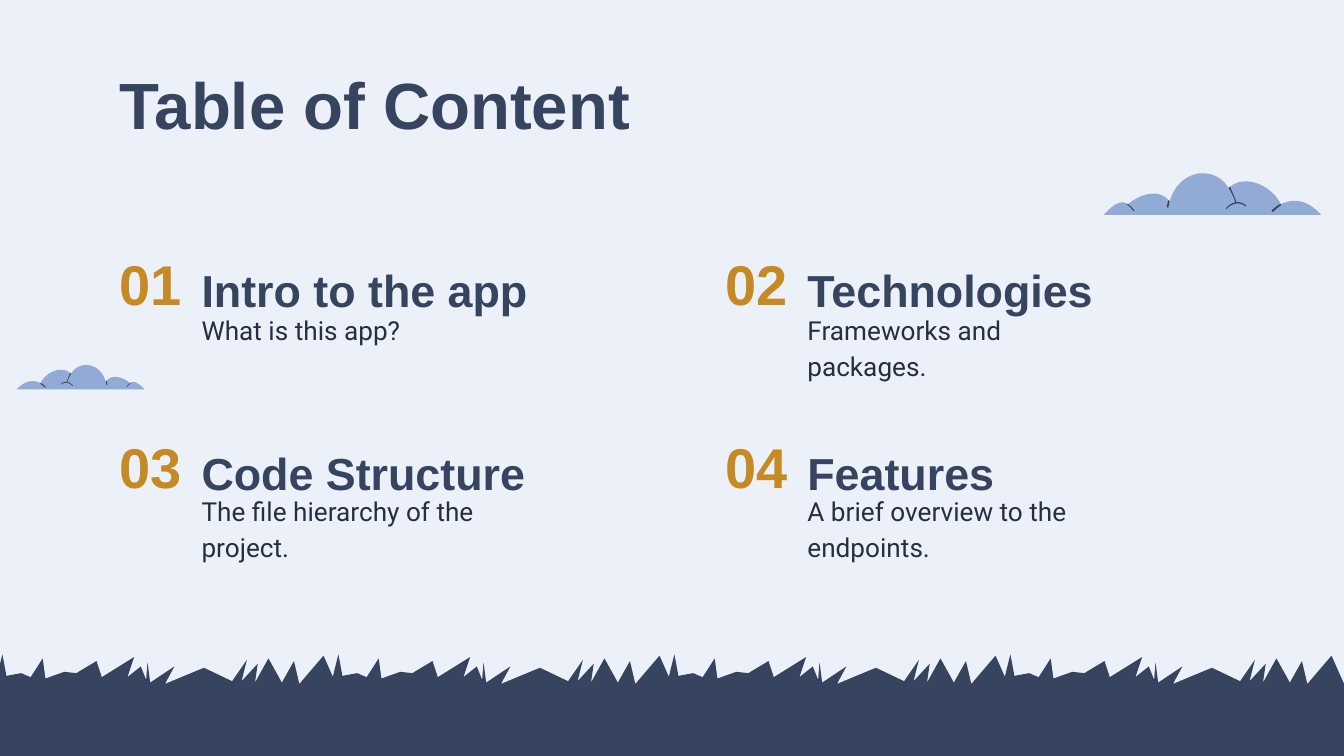
import pptx
import pptx.dml.color
import pptx.enum.shapes
import pptx.enum.text
import pptx.util

Cm = pptx.util.Cm
ANCHOR = pptx.enum.text.MSO_ANCHOR

NAVY, INK, GOLD, BLUE, PALE = "36445F", "262F41", "C58A23", "92AAD6", "ECF0F8"
SLIDE_WIDTH, SLIDE_HEIGHT = 25.4, 14.29

TUFT_SPAN = 256
TUFT = [
    (0, -8), (5, -28), (8, -12), (19, -14), (26, -11), (35, -25), (37, -10), (51, -15),
    (60, -14), (75, -23), (79, -11), (103, -26), (98, -11), (108, -19), (112, -9),
    (113, -22), (115, -7), (133, -19), (126, -6), (155, -18), (176, -8), (187, -24),
    (183, -8), (195, -21), (193, -7), (203, -25), (213, -7), (222, -23), (226, -6),
    (244, -27), (256, 0), (0, 0),
]

CLOUD_SPAN = 162
CLOUD_BODY = [
    (162, 0), (0, 0), (8, -9, 14, -11, 18, -8), (31, -18, 43, -18, 49, -10),
    (57, -36, 84, -36, 93, -20), (105, -31, 125, -22, 132, -8), (141, -12, 151, -12, 162, 0),
]
CLOUD_CREASES = [
    [(125, -3), (128, -6, 131, -8, 132, -8), (132, -7), (132, -7, 129, -5, 126, -2)],
    [(98, -9), (97, -14, 93, -20, 93, -20), (94, -21), (94, -21, 97, -15, 99, -9)],
    [(47, -6), (48, -11), (49, -10), (48, -5)],
    [(91, -4), (91, -5), (96, -10, 101, -11, 106, -7), (106, -6), (101, -10, 96, -9, 91, -4)],
    [(22, -3), (20, -6, 17, -8, 17, -8), (18, -8), (18, -8, 21, -6, 23, -3)],
]

COLUMNS = [2.01, 13.46]
ROWS = [(4.72, 5.61), (8.18, 9.02)]
TOPICS = [
    ("Intro to the app", "What is this app?"),
    ("Technologies", "Frameworks and packages."),
    ("Code Structure", "The file hierarchy of the project."),
    ("Features", "A brief overview to the endpoints."),
]


def color(value):
    """Return the colour for a hex string."""
    return pptx.dml.color.RGBColor.from_string(value)


def paint(shape, fill):
    """Give a shape a plain fill without line or shadow."""
    shape.fill.solid()
    shape.fill.fore_color.rgb = color(fill)
    shape.line.fill.background()
    shape.shadow.inherit = False


def flatten(path, steps=12):
    """Turn a path of points and cubic curves into a list of points."""
    points = []
    for segment in path:
        if len(segment) == 2:
            points.append(segment)
            continue
        start = points[-1]
        first, second, end = segment[:2], segment[2:4], segment[4:]
        for step in range(1, steps + 1):
            t = step / steps
            u = 1 - t
            points.append(tuple(
                u**3 * a + 3 * u * u * t * b + 3 * u * t * t * c + t**3 * d
                for a, b, c, d in zip(start, first, second, end)
            ))
    return points


def add_outline(shapes, path, left, base, width, span, fill, mirrored=False):
    """Add a filled outline that stands on a base line."""
    scale = Cm(width) / span
    points = [
        (round(Cm(left) + (span - x if mirrored else x) * scale), round(Cm(base) + y * scale))
        for x, y in flatten(path)
    ]
    builder = shapes.build_freeform(*points[0])
    builder.add_line_segments(points[1:], close=True)
    paint(builder.convert_to_shape(), fill)


def add_grass(slide):
    """Add the ground and its repeated tufts of grass."""
    shapes = slide.shapes.add_group_shape().shapes
    ground = shapes.add_shape(
        pptx.enum.shapes.MSO_SHAPE.RECTANGLE, 0, Cm(13), Cm(SLIDE_WIDTH), Cm(SLIDE_HEIGHT - 13)
    )
    paint(ground, NAVY)
    for index in range(4):
        left = index * SLIDE_WIDTH / 4 - 0.08
        add_outline(shapes, TUFT, left, 13.08, 6.5, TUFT_SPAN, NAVY)


def add_cloud(slide, left, base, width, mirrored=False):
    """Add a cloud with its creases."""
    shapes = slide.shapes.add_group_shape().shapes
    add_outline(shapes, CLOUD_BODY, left, base, width, CLOUD_SPAN, BLUE, mirrored)
    for crease in CLOUD_CREASES:
        add_outline(shapes, crease, left, base, width, CLOUD_SPAN, NAVY, mirrored)


def place(shape, left, top, width, height):
    """Move and size a shape."""
    shape.left, shape.top = Cm(left), Cm(top)
    shape.width, shape.height = Cm(width), Cm(height)


def write(shape, text, size, fill, font="Arial", bold=True, anchor=ANCHOR.TOP, spacing=1.0):
    """Write one formatted paragraph into a shape."""
    frame = shape.text_frame
    frame.word_wrap = True
    frame.auto_size = pptx.enum.text.MSO_AUTO_SIZE.NONE
    frame.vertical_anchor = anchor
    frame.margin_left = frame.margin_right = Cm(0.25)
    frame.margin_top = frame.margin_bottom = Cm(0.25)
    paragraph = frame.paragraphs[0]
    paragraph.alignment = pptx.enum.text.PP_ALIGN.LEFT
    paragraph.line_spacing = spacing
    run = paragraph.add_run()
    run.text = text
    run.font.name = font
    run.font.size = pptx.util.Pt(size)
    run.font.bold = bold
    run.font.color.rgb = color(fill)


def add_text(slide, box, text, size, fill, **style):
    """Add a text box."""
    shape = slide.shapes.add_textbox(*(Cm(length) for length in box))
    write(shape, text, size, fill, **style)


def add_topic(slide, number, heading, description):
    """Add a numbered topic at its place in the grid."""
    row, column = divmod(number - 1, len(COLUMNS))
    left = COLUMNS[column]
    top, description_top = ROWS[row]
    text_left = left + 1.55
    add_text(slide, (left, top, 2.03, 1.52), f"{number:02}", 30, GOLD, anchor=ANCHOR.BOTTOM)
    add_text(slide, (text_left, top, 8.38, 1.52), heading, 24, NAVY,
             anchor=ANCHOR.BOTTOM, spacing=1.15)
    add_text(slide, (text_left, description_top, 5.84, 1.75), description, 14, INK,
             font="Roboto", bold=False, spacing=1.15)


def main():
    """Build the contents slide and save it."""
    presentation = pptx.Presentation()
    presentation.slide_width = Cm(SLIDE_WIDTH)
    presentation.slide_height = Cm(SLIDE_HEIGHT)
    slide = presentation.slides.add_slide(presentation.slide_layouts[5])
    slide.background.fill.solid()
    slide.background.fill.fore_color.rgb = color(PALE)
    add_grass(slide)
    place(slide.shapes.title, 2.01, 0.97, 21.41, 1.78)
    write(slide.shapes.title, "Table of Content", 35, NAVY)
    for number, (heading, description) in enumerate(TOPICS, 1):
        add_topic(slide, number, heading, description)
    add_cloud(slide, 20.86, 4.06, 4.11)
    add_cloud(slide, 0.32, 7.36, 2.41, mirrored=True)
    presentation.save("out.pptx")


if __name__ == "__main__":
    main()
